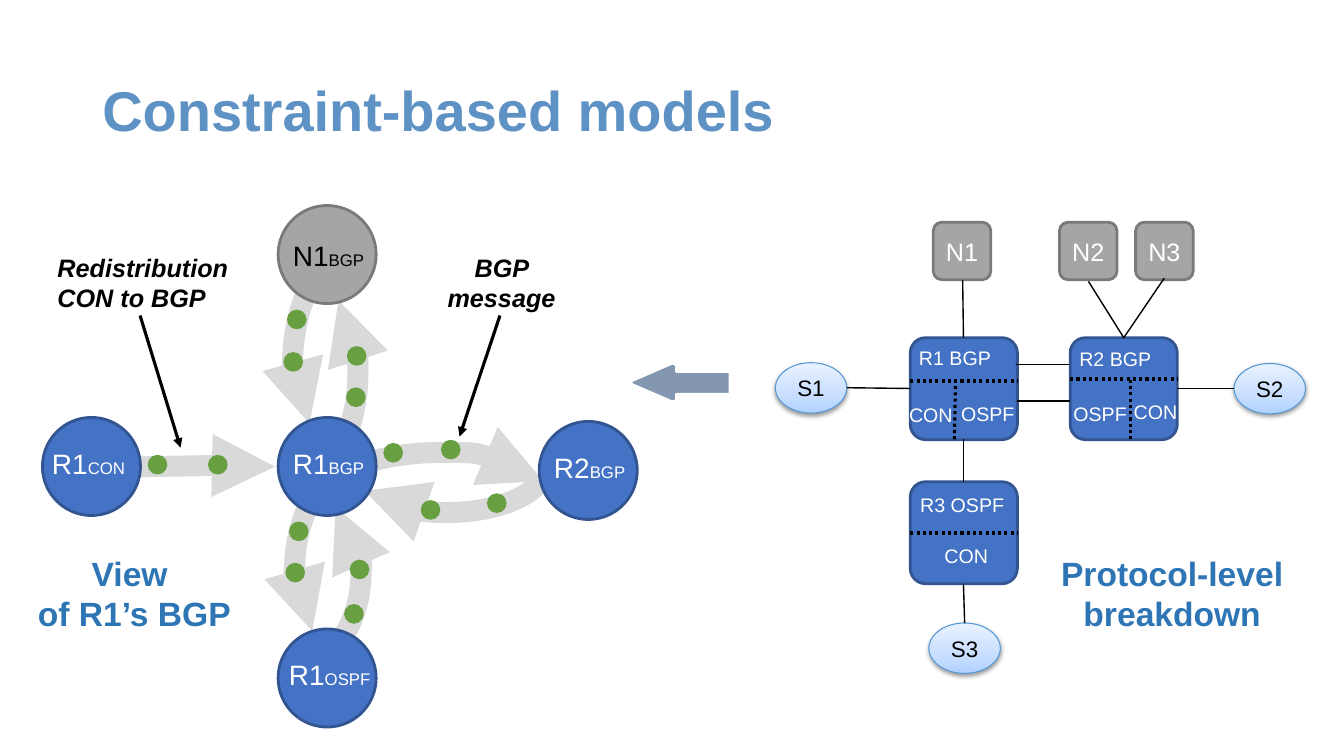
from dataclasses import dataclass

from lxml import etree
from pptx import Presentation
from pptx.dml.color import RGBColor
from pptx.enum.dml import MSO_LINE
from pptx.enum.shapes import MSO_CONNECTOR, MSO_SHAPE
from pptx.enum.text import MSO_ANCHOR, PP_ALIGN
from pptx.oxml import parse_xml
from pptx.oxml.ns import nsdecls, qn
from pptx.util import Cm, Pt

OVAL, ROUNDED = MSO_SHAPE.OVAL, MSO_SHAPE.ROUNDED_RECTANGLE
STRAIGHT, DOTTED = MSO_CONNECTOR.STRAIGHT, MSO_LINE.ROUND_DOT
LEFT, CENTER = PP_ALIGN.LEFT, PP_ALIGN.CENTER
TOP, MIDDLE = MSO_ANCHOR.TOP, MSO_ANCHOR.MIDDLE


@dataclass(frozen=True)
class Theme:
    font: str = "Arial"
    title: str = "5E92C5"
    caption: str = "2E75B6"
    black: str = "000000"
    white: str = "FFFFFF"
    router: str = "4472C4"
    router_edge: str = "325491"
    neighbor: str = "A5A5A5"
    neighbor_edge: str = "7A7A7A"
    message: str = "679F41"
    flow: str = "D9D9D9"
    block: str = "8497B0"
    station_edge: str = "5698D3"
    station_stops: tuple = ((0, "B0D2FF"), (35, "C7DEFF"), (100, "EAF2FF"))
    title_pt: int = 40
    caption_pt: int = 24
    node_pt: int = 20
    note_pt: int = 18
    station_pt: int = 16
    protocol_pt: int = 14
    subscript_pt: int = 12


T = Theme()


def set_font(font, size, color, bold=False, italic=False):
    font.name, font.size = T.font, Pt(size)
    font.bold, font.italic = bold, italic
    font.color.rgb = RGBColor.from_string(color)


def set_line(line, color, width):
    line.color.rgb = RGBColor.from_string(color)
    line.width = Pt(width)


def add_arrowhead(line):
    ln = line._get_or_add_ln()
    etree.SubElement(ln, qn("a:tailEnd"), type="triangle")


def set_frame(tf, inset, anchor=TOP, wrap=True):
    tf.margin_left = tf.margin_right = Cm(inset[0])
    tf.margin_top = tf.margin_bottom = Cm(inset[1])
    tf.vertical_anchor, tf.word_wrap = anchor, wrap


def add_text(s, box, lines, size, color, bold=False, italic=False, align=LEFT,
             inset=(0.07, 0.07), anchor=TOP, wrap=True):
    tf = s.shapes.add_textbox(*map(Cm, box)).text_frame
    set_frame(tf, inset, anchor, wrap)
    for i, text in enumerate(lines):
        p = tf.add_paragraph() if i else tf.paragraphs[0]
        p.text, p.alignment = text, align
        set_font(p.font, size, color, bold, italic)
    return tf


def add_shape(s, kind, box, fill, edge, width=2):
    sp = s.shapes.add_shape(kind, *map(Cm, box))
    sp.shadow.inherit = False
    sp.fill.solid()
    sp.fill.fore_color.rgb = RGBColor.from_string(fill)
    set_line(sp.line, edge, width)
    if kind == ROUNDED:
        sp.adjustments[0] = 0.15
    return sp


def add_centered(sp, text, size, color):
    tf = sp.text_frame
    set_frame(tf, (0.07, 0.07), MIDDLE)
    p = tf.paragraphs[0]
    p.text, p.alignment = text, CENTER
    set_font(p.font, size, color)


def add_freeform(s, points, close):
    pts = [(Cm(x), Cm(y)) for x, y in points]
    builder = s.shapes.build_freeform(*pts[0])
    builder.add_line_segments(pts[1:], close=close)
    sp = builder.convert_to_shape()
    sp.shadow.inherit = False
    return sp


def add_flow(s, *knots):
    sp = add_freeform(s, knots, False)
    segments = list(sp._element.iter(qn("a:lnTo")))
    for i in range(0, len(segments), 3):
        first, *others = segments[i:i + 3]
        first.tag = qn("a:cubicBezTo")
        for segment in others:
            first.append(segment[0])
            segment.getparent().remove(segment)
    sp.fill.background()
    set_line(sp.line, T.flow, 15)
    add_arrowhead(sp.line)


def add_block_arrow(s):
    sp = add_freeform(s, [
        (16.92, 10.11), (16.99, 10.11), (17.04, 10.08), (17.04, 9.93), (18.39, 9.93),
        (18.39, 9.37), (17.04, 9.37), (17.04, 9.22), (16.99, 9.17), (16.92, 9.17),
        (15.93, 9.6), (15.9, 9.65), (15.93, 9.68)], True)
    sp.fill.solid()
    sp.fill.fore_color.rgb = RGBColor.from_string(T.block)
    set_line(sp.line, T.white, 1.5)


def add_node(s, x, y, name, protocol, dx=0.3, dy=0.66, neighbor=False):
    fill, edge, color = ((T.neighbor, T.neighbor_edge, T.black) if neighbor
                         else (T.router, T.router_edge, T.white))
    add_shape(s, OVAL, (x, y, 2.47, 2.47), fill, edge)
    tf = s.shapes.add_textbox(Cm(x + dx), Cm(y + dy), Cm(2.3), Cm(0.99)).text_frame
    set_frame(tf, (0.07, 0.07))
    for text, size in ((name, T.node_pt), (protocol, T.subscript_pt)):
        r = tf.paragraphs[0].add_run()
        r.text = text
        set_font(r.font, size, color)


def add_station(s, x, y, name):
    sp = add_shape(s, OVAL, (x, y, 1.8, 1.27), T.white, T.station_edge, 0.75)
    add_centered(sp, name, T.station_pt, T.black)
    stops = "".join(f'<a:gs pos="{pos * 1000}"><a:srgbClr val="{color}"/></a:gs>'
                    for pos, color in T.station_stops)
    spPr = sp._element.spPr
    spPr.replace(spPr.find(qn("a:solidFill")), parse_xml(
        f'<a:gradFill {nsdecls("a")}><a:gsLst>{stops}</a:gsLst>'
        '<a:lin ang="16200000" scaled="0"/></a:gradFill>'))
    spPr.find(qn("a:effectLst")).append(parse_xml(
        f'<a:outerShdw {nsdecls("a")} blurRad="{Pt(3.1)}" dist="{Pt(1.6)}" dir="5400000" '
        f'rotWithShape="0"><a:srgbClr val="{T.black}"><a:alpha val="38000"/></a:srgbClr>'
        '</a:outerShdw>'))


def add_link(s, ends, width=1, dotted=False, arrow=False):
    cn = s.shapes.add_connector(STRAIGHT, *map(Cm, ends))
    set_line(cn.line, T.black, width)
    if dotted:
        cn.line.dash_style = DOTTED
    if arrow:
        add_arrowhead(cn.line)
    etree.SubElement(cn._element.spPr, qn("a:effectLst"))


def add_bgp_view(s):
    add_flow(s, (7.52, 17.07), (8.28, 16.79), (9.02, 15.8), (9.09, 14.66),
             (9.14, 13.82), (8.84, 13.08), (8.46, 12.78))
    add_flow(s, (8.33, 12.12), (8.86, 11.66), (9.98, 11.4), (11.18, 11.4),
             (12.24, 11.4), (13.18, 11.68), (13.69, 12.12))
    add_flow(s, (13.61, 12.14), (13.21, 12.67), (12.04, 13), (10.82, 12.9),
             (10.11, 12.85), (9.5, 12.67), (9.19, 12.37))
    add_flow(s, (8.05, 12.29), (7.7, 12.75), (7.49, 13.39), (7.44, 14.02),
             (7.39, 14.76), (7.54, 15.44), (7.87, 15.9))
    add_flow(s, (8.41, 11.48), (8.81, 11.05), (9.04, 10.19), (9.02, 9.27),
             (9.02, 8.56), (8.81, 7.92), (8.53, 7.57))
    add_flow(s, (8.15, 6.68), (7.75, 7.11), (7.47, 7.9), (7.39, 8.76),
             (7.34, 9.53), (7.52, 10.21), (7.8, 10.67))
    add_flow(s, (2.54, 11.86), (3.35, 11.73), (4.34, 11.76), (5.33, 11.73),
             (5.92, 11.73), (6.48, 11.71), (6.93, 11.76))
    add_node(s, 7.01, 10.52, "R1", "BGP")
    add_node(s, 1.07, 10.52, "R1", "CON", dx=0.17)
    add_node(s, 7.01, 15.85, "R1", "OSPF", dx=0.2)
    add_node(s, 7.01, 5.18, "N1", "BGP", dy=0.77, neighbor=True)
    add_node(s, 13.59, 10.62, "R2", "BGP")
    for x, y in ((3.74, 11.48), (5.26, 11.48), (8.74, 9.78), (8.76, 8.74), (7.25, 7.82),
                 (7.16, 8.89), (9.68, 11.18), (12.29, 12.45), (10.62, 12.62), (8.69, 15.24),
                 (8.83, 14.12), (7.3, 13.16), (7.21, 14.2), (11.13, 11.1)):
        add_shape(s, OVAL, (x, y, 0.46, 0.46), T.message, T.message, 1)
    add_text(s, (0.86, 13.8, 5.05, 2.31), ("View ", "of R1’s BGP"), T.caption_pt, T.caption,
             bold=True, align=CENTER, inset=(0.07, 0.13), wrap=False)
    add_text(s, (10.76, 6.29, 3.76, 1.68), ("BGP message",), T.note_pt, T.black,
             bold=True, italic=True, align=CENTER)
    add_text(s, (1.38, 6.29, 4.47, 1.68), ("Redistribution", "CON to BGP"), T.note_pt, T.black,
             bold=True, italic=True, wrap=False)
    for ends in ((12.6, 7.95, 11.58, 11), (3.53, 7.95, 4.55, 11.28)):
        add_link(s, ends, 2.25, arrow=True)


def add_breakdown(s):
    for x, y in ((22.94, 8.51), (26.97, 8.51), (22.94, 12.14)):
        add_shape(s, ROUNDED, (x, y, 2.7, 2.57), T.router, T.router_edge)
    for x, name in ((23.52, "N1"), (26.7, "N2"), (28.62, "N3")):
        sp = add_shape(s, ROUNDED, (x, 5.6, 1.45, 1.45), T.neighbor, T.neighbor_edge)
        add_centered(sp, name, T.note_pt, T.white)
    for x, y, name in ((19.54, 9.14, "S1"), (31.1, 9.16, "S2"), (23.41, 15.7, "S3")):
        add_station(s, x, y, name)
    for ends in ((24.26, 7.06, 24.28, 8.51), (24.28, 12.14, 24.28, 11.07),
                 (25.63, 10.1, 26.97, 10.1), (29.67, 9.79, 31.09, 9.79),
                 (24.31, 15.7, 24.28, 14.71), (28.32, 8.51, 27.43, 7.09),
                 (28.32, 8.51, 29.34, 7.01), (21.34, 9.77, 22.94, 9.79),
                 (25.6, 9.19, 26.95, 9.19)):
        add_link(s, ends)
    for ends in ((22.94, 9.6, 25.63, 9.6), (22.94, 13.43, 25.63, 13.43),
                 (26.97, 9.55, 29.67, 9.55), (28.5, 11.07, 28.5, 9.55),
                 (24.05, 11.07, 24.08, 9.68)):
        add_link(s, ends, 2.25, dotted=True)
    for x, y, w, text in ((22.91, 8.59, 2.77, "R1 BGP"), (22.66, 10.02, 2.29, "CON"),
                          (23.97, 10.01, 2.29, "OSPF"), (26.8, 9.99, 2.29, "OSPF"),
                          (28.32, 9.96, 2.29, "CON"), (23.55, 13.58, 2.29, "CON"),
                          (22.94, 12.29, 3.38, "R3 OSPF"), (26.95, 8.61, 2.77, "R2 BGP")):
        add_text(s, (x, y, w, 0.86), (text,), T.protocol_pt, T.white, inset=(0.25, 0.13))
    add_text(s, (26.3, 13.8, 6.48, 2.31), ("Protocol-level breakdown",), T.caption_pt,
             T.caption, bold=True, align=CENTER, inset=(0.07, 0.13))


def main():
    prs = Presentation()
    prs.slide_width, prs.slide_height = Cm(33.87), Cm(19.05)
    s = prs.slides.add_slide(prs.slide_layouts[6])
    tf = add_text(s, (2.33, 1.02, 29.21, 3.68), ("Constraint-based models",), T.title_pt,
                  T.title, bold=True, inset=(0.25, 0.25), anchor=MIDDLE)
    tf.paragraphs[0].line_spacing = 0.9
    add_block_arrow(s)
    add_bgp_view(s)
    add_breakdown(s)
    prs.save("out.pptx")


if __name__ == "__main__":
    main()
